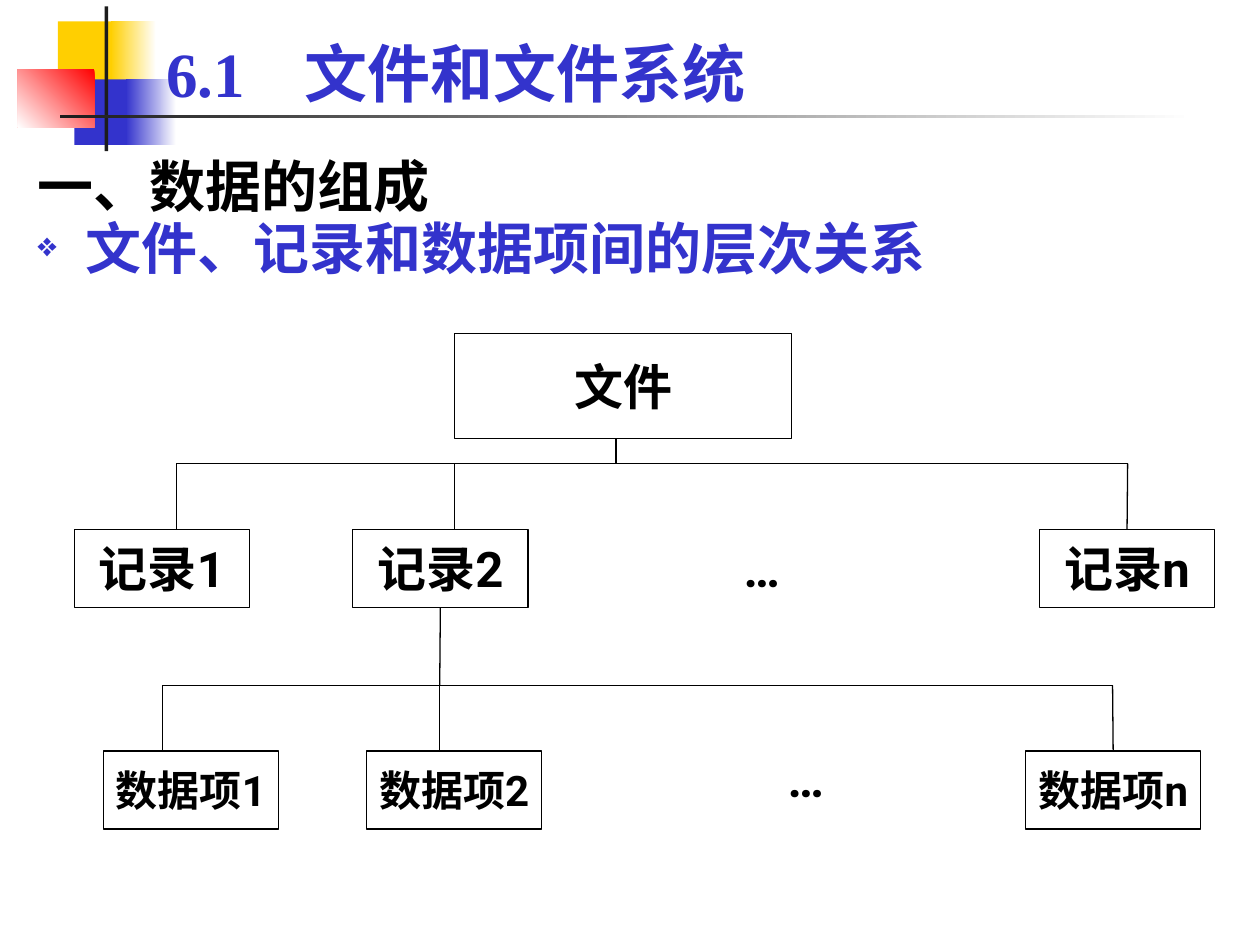
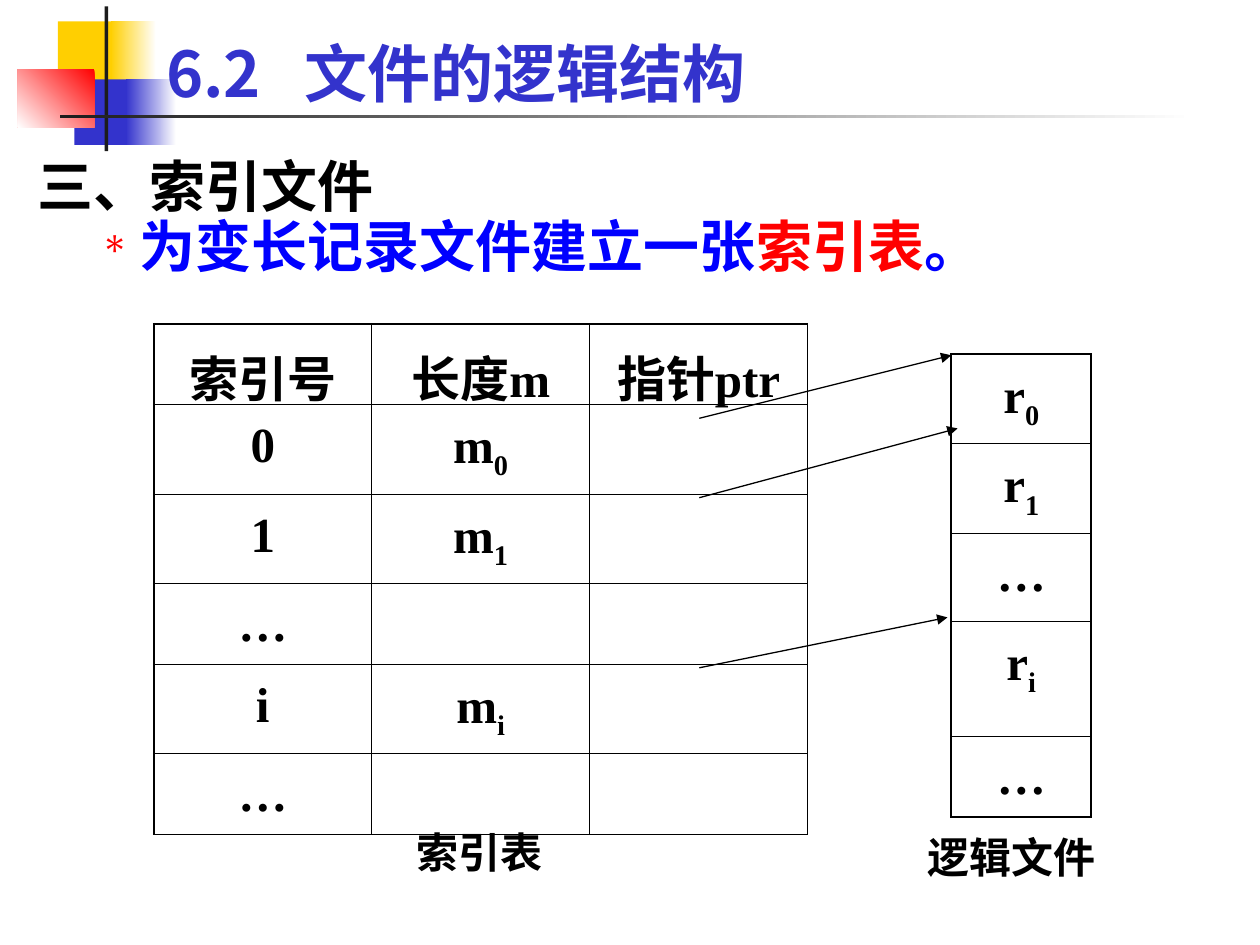
from lxml.etree import SubElement
from pptx import Presentation
from pptx.dml.color import RGBColor
from pptx.enum.shapes import MSO_CONNECTOR, MSO_SHAPE
from pptx.enum.text import MSO_ANCHOR, PP_ALIGN
from pptx.oxml.ns import qn
from pptx.util import Inches, Pt

BLACK, BLUE, RED, GOLD = "000000", "3333CC", "FF0000", "FFCF01"
WHITE, DARK = "FFFFFF", "1C1C1C"
SERIF, SANS, HAN = "Times New Roman", "Roboto", "Noto Sans CJK SC"
hue = RGBColor.from_string


def write(para, text, size, face=SERIF, color=BLACK, sub=False):
    """Add one bold run, with a Chinese font beside the Latin one."""
    run = para.add_run()
    run.text = text
    font = run.font
    font.size, font.bold, font.name = Pt(size), True, face
    font.color.rgb = hue(color)
    props = font._element
    SubElement(props, qn("a:ea")).set("typeface", HAN)
    if sub:
        props.set("baseline", "-25000")


def line(slide, x1, y1, x2, y2):
    """Draw a thin black connector."""
    wire = slide.shapes.add_connector(
        MSO_CONNECTOR.STRAIGHT, Inches(x1), Inches(y1), Inches(x2), Inches(y2))
    wire.line.color.rgb = hue(BLACK)
    wire.line.width = Pt(0.75)
    SubElement(wire._element.spPr, qn("a:effectLst"))
    return wire


deck = Presentation()
deck.slide_width, deck.slide_height = Inches(10), Inches(7.5)

# Shared decoration: place, colours from start to end, gradient angle
decor = [
    ((0.46, 0.17, 0.48, 0.52), [GOLD], 0),
    ((0.88, 0.17, 0.36, 0.52), [WHITE, GOLD], 180),
    ((0.59, 0.63, 0.46, 0.52), [BLUE], 0),
    ((1, 0.63, 0.4, 0.52), [WHITE, BLUE], 180),
    ((0.14, 0.55, 0.61, 0.46), [RED, WHITE], 225),
    ((0.83, 0.05, 0.03, 1.15), [DARK], 0),
    ((0.48, 0.91, 9, 0.03), [WHITE, DARK], 180),
]

# Number, title, number font, heading, bullet (mark, colour, size, left, hang,
# spacing), bullet runs
pages = [
    ("6.1", "文件和文件系统", SERIF, "一、数据的组成",
     ("❖", BLUE, 60, 0.38, 0.38, 0.95),
     [("文件、记录和数据项间的层次关系", BLUE)]),
    ("6.2", "文件的逻辑结构", HAN, "三、索引文件",
     ("∗", RED, 70, 0.81, 0.31, 0.92),
     [("为变长记录文件建立一张", "0000FF"), ("索引表", RED), ("。", "0000FF")]),
]

slides = []
for num, name, face, head, bullet, runs in pages:
    slide = deck.slides.add_slide(deck.slide_layouts[6])
    slides.append(slide)
    for place, tones, angle in decor:
        shape = slide.shapes.add_shape(MSO_SHAPE.RECTANGLE, *map(Inches, place))
        shape.shadow.inherit = False
        shape.line.fill.background()
        if len(tones) == 1:
            shape.fill.solid()
            shape.fill.fore_color.rgb = hue(tones[0])
        else:
            shape.fill.gradient()
            shape.fill.gradient_angle = angle
            for stop, tone in zip(shape.fill.gradient_stops, tones):
                stop.color.rgb = hue(tone)

    title = slide.shapes.add_textbox(*map(Inches, (1.22, 0.21, 8.52, 0.71))).text_frame
    title.word_wrap = True
    title.vertical_anchor = MSO_ANCHOR.BOTTOM
    para = title.paragraphs[0]
    tabs = SubElement(para._p.get_or_add_pPr(), qn("a:tabLst"))
    tab = SubElement(tabs, qn("a:tab"))
    tab.set("pos", str(Inches(1.1)))
    tab.set("algn", "l")
    write(para, num + "\t" + name, 36, face, BLUE)

    body = slide.shapes.add_textbox(*map(Inches, (0.2, 1.15, 9.61, 5.51))).text_frame
    body.word_wrap = True
    write(body.paragraphs[0], head, 32)
    para = body.add_paragraph()
    mark, tone, share, left, hang, gap = bullet
    props = para._p.get_or_add_pPr()
    props.set("marL", str(Inches(left)))
    props.set("indent", str(-Inches(hang)))
    tint = SubElement(props, qn("a:buClr"))
    SubElement(tint, qn("a:srgbClr")).set("val", tone)
    SubElement(props, qn("a:buSzPct")).set("val", str(share * 1000))
    SubElement(props, qn("a:buChar")).set("char", mark)
    para.line_spacing = gap
    for text, tone in runs:
        write(para, text, 32, color=tone)

# Slide 1: tree of file, records and data items
tree, index = slides
nodes = [
    ("文件", 3.61, 2.65, 28),
    ("记录1", 0.59, 4.2, 28),
    ("记录2", 2.8, 4.2, 28),
    ("…", 5.35, 4.2, 28),
    ("记录n", 8.25, 4.2, 28),
    ("数据项1", 0.82, 5.96, 24),
    ("数据项2", 2.91, 5.96, 24),
    ("…", 5.7, 5.86, 28),
    ("数据项n", 8.14, 5.96, 24),
]
boxes = {}
for text, left, top, size in nodes:
    root = text == "文件"
    kind = MSO_SHAPE.FLOWCHART_PROCESS if root else MSO_SHAPE.RECTANGLE
    wide, high = (2.67, 0.83) if root else (1.39, 0.62)
    box = tree.shapes.add_shape(kind, *map(Inches, (left, top, wide, high)))
    box.shadow.inherit = False
    box.fill.solid()
    box.fill.fore_color.rgb = hue(WHITE)
    if text == "…":
        box.line.fill.background()
    else:
        box.line.color.rgb = hue(BLACK)
        box.line.width = Pt(0.75)
    frame = box.text_frame
    frame.word_wrap = False
    frame.vertical_anchor = MSO_ANCHOR.MIDDLE
    frame.paragraphs[0].alignment = PP_ALIGN.CENTER
    write(frame.paragraphs[0], text, size, SANS)
    boxes[text] = box

# Each level: bar height, box top, drops from left to right, last box
levels = [(3.68, 4.2, (1.4, 3.61, 8.95), "记录n"),
          (5.44, 5.96, (1.29, 3.49, 8.83), "数据项n")]
for bar, top, drops, last in levels:
    line(tree, drops[0], bar, drops[-1], bar)
    for x in drops:
        wire = line(tree, x, bar, x, top)
    wire.end_connect(boxes[last], 0)
line(tree, 4.89, 3.48, 4.89, 3.68)
line(tree, 3.49, 4.82, 3.49, 5.44).begin_connect(boxes["记录2"], 2)

# Slide 2: index table and logical file; a cell is (text, subscript)
grids = [
    (1.22, 2.57, 1.73, [0.64, 0.71, 0.71, 0.64, 0.71, 0.64], [
        [("索引号", ""), ("长度m", ""), ("指针ptr", "")],
        [("0", ""), ("m", "0"), ("", "")],
        [("1", ""), ("m", "1"), ("", "")],
        [("…", ""), ("", ""), ("", "")],
        [("i", ""), ("m", "i"), ("", "")],
        [("…", ""), ("", ""), ("", "")]]),
    (7.55, 2.81, 1.11, [0.71, 0.71, 0.7, 0.91, 0.64],
     [[("r", "0")], [("r", "1")], [("…", "")], [("r", "i")], [("…", "")]]),
]
for left, top, wide, highs, rows in grids:
    count = len(rows[0])
    place = (left, top, wide * count, sum(highs))
    table = index.shapes.add_table(len(rows), count, *map(Inches, place)).table
    table.first_row = table.horz_banding = False
    for col in table.columns:
        col.width = Inches(wide)
    for r, row in enumerate(rows):
        table.rows[r].height = Inches(highs[r])
        for c, (text, sub) in enumerate(row):
            cell = table.cell(r, c)
            outer = {"L": c == 0, "R": c == count - 1,
                     "T": r == 0, "B": r == len(rows) - 1}
            for side, edge in outer.items():
                rule = SubElement(cell._tc.get_or_add_tcPr(), qn("a:ln" + side))
                rule.set("w", str(Pt(1.08 if edge else 0.45)))
                fill = SubElement(rule, qn("a:solidFill"))
                SubElement(fill, qn("a:srgbClr")).set("val", BLACK)
            cell.fill.background()
            para = cell.text_frame.paragraphs[0]
            para.alignment = PP_ALIGN.CENTER
            para.line_spacing = 1.15
            if text:
                write(para, text, 28)
            if sub:
                write(para, sub, 28, sub=True)

captions = [("逻辑文件", (7.26, 6.55, 1.83, 0.5), PP_ALIGN.LEFT),
            ("索引表", (2.14, 6.51, 3.33, 0.5), PP_ALIGN.CENTER)]
for text, place, align in captions:
    frame = index.shapes.add_textbox(*map(Inches, place)).text_frame
    frame.word_wrap = True
    frame.paragraphs[0].alignment = align
    write(frame.paragraphs[0], text, 24, SANS)

for y1, x2, y2 in [(3.32, 7.55, 2.82), (3.95, 7.6, 3.4), (5.3, 7.52, 4.9)]:
    arrow = line(index, 5.55, y1, x2, y2)
    SubElement(arrow.line._get_or_add_ln(), qn("a:tailEnd")).set("type", "triangle")

deck.save("out.pptx")
